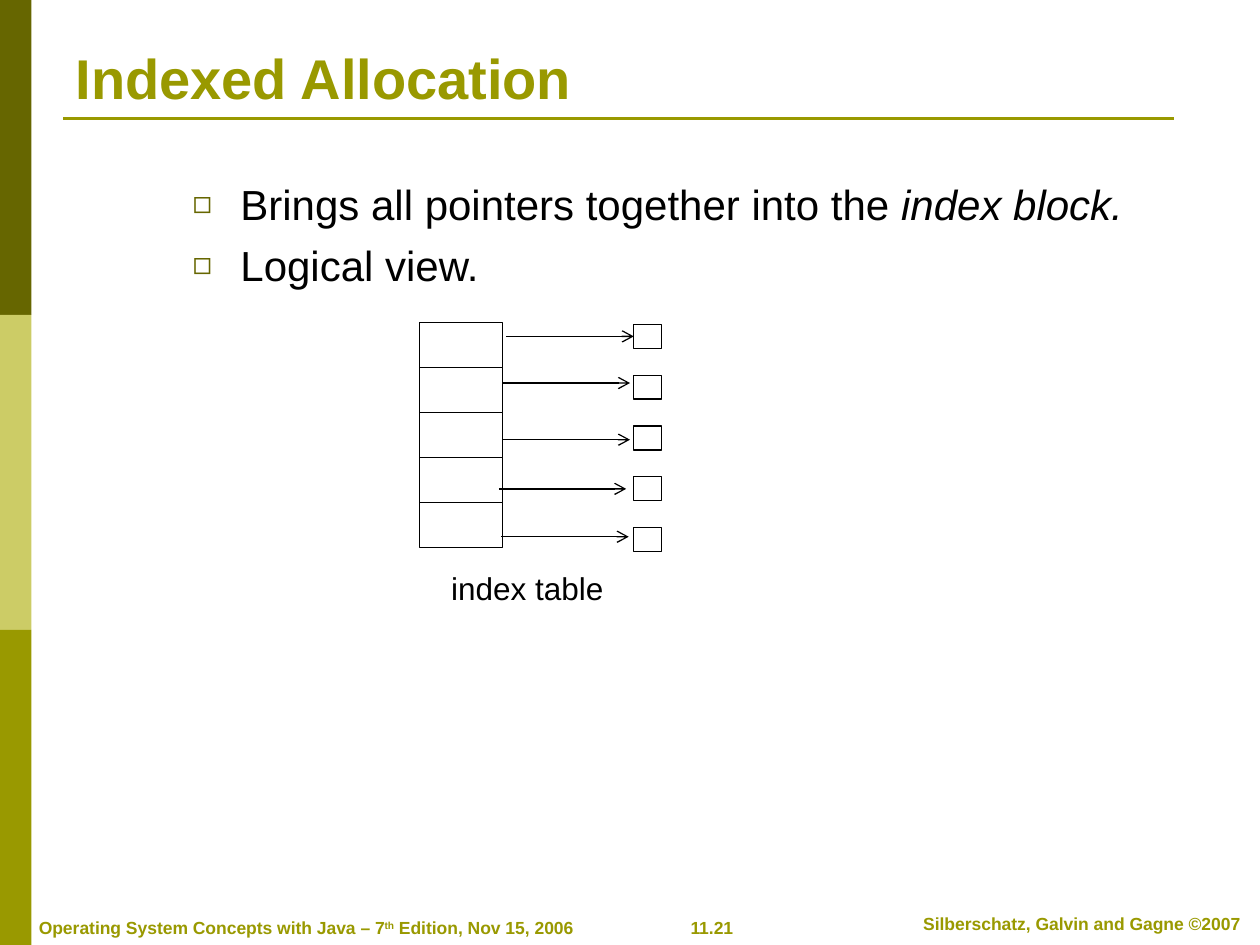
from lxml import etree
from pptx import Presentation
from pptx.dml.color import RGBColor
from pptx.enum.shapes import MSO_CONNECTOR, MSO_SHAPE
from pptx.enum.text import MSO_ANCHOR, MSO_AUTO_SIZE, PP_ALIGN
from pptx.oxml.ns import qn
from pptx.util import Inches, Pt

LINE, RECT = MSO_CONNECTOR.STRAIGHT, MSO_SHAPE.RECTANGLE
LEFT, MID = PP_ALIGN.LEFT, PP_ALIGN.CENTER
TOP, CORE, LOW = MSO_ANCHOR.TOP, MSO_ANCHOR.MIDDLE, MSO_ANCHOR.BOTTOM
FIXED = MSO_AUTO_SIZE.NONE
WIDE, HIGH = Inches(10), Inches(7.5)
COLS, ROWS = 100, 75
OLIVE, DARK, PALE, BLACK, WHITE = "999900", "666600", "CCCC66", "000000", "FFFFFF"


def tint(code):
    return RGBColor.from_string(code)


def place(box):
    x, y, w, h = box
    return (round(x * WIDE / COLS), round(y * HIGH / ROWS),
            round(w * WIDE / COLS), round(h * HIGH / ROWS))


def node(root, tag, **attrs):
    return etree.SubElement(root, qn(tag), attrs)


def add_rect(slide, box, fill, edge=None):
    shape = slide.shapes.add_shape(RECT, *place(box))
    shape.shadow.inherit = False
    shape.fill.solid()
    shape.fill.fore_color.rgb = tint(fill)
    if edge:
        shape.line.color.rgb = tint(edge)
        shape.line.width = Pt(0.75)
    else:
        shape.line.fill.background()


def add_line(slide, x, y, w, code, width, head=False):
    left, top, span, _ = place((x, y, w, 0))
    line = slide.shapes.add_connector(LINE, left, top, left + span, top)
    line.line.color.rgb = tint(code)
    line.line.width = Pt(width)
    if head:
        node(line.line._get_or_add_ln(), "a:tailEnd", type="arrow")
    node(line._element.spPr, "a:effectLst")


def set_frame(frame, anchor, wrap):
    frame.auto_size = FIXED
    frame.word_wrap = wrap
    frame.vertical_anchor = anchor


def add_run(para, text, size, code, bold=False, slant=False, raised=False):
    run = para.add_run()
    run.text = text
    font = run.font
    font.name, font.size = "Arial", Pt(size)
    font.bold, font.italic = bold, slant
    font.color.rgb = tint(code)
    if raised:
        run._r.get_or_add_rPr().set("baseline", "30000")


def add_label(slide, box, size, code, align, anchor=TOP, wrap=False, bold=False):
    frame = slide.shapes.add_textbox(*place(box)).text_frame
    set_frame(frame, anchor, wrap)
    para = frame.paragraphs[0]
    para.alignment = align

    def write(text, raised=False):
        add_run(para, text, size, code, bold, raised=raised)

    return write


def add_side(slide, box):
    x, y, w, h = box
    step = h / 3
    for i, code in enumerate((DARK, PALE, OLIVE)):
        add_rect(slide, (x, y + i * step, w, step), code)


def add_title(slide, box):
    x, y, w, h = box
    title = slide.shapes.title
    title.left, title.top, title.width, title.height = place(box)
    set_frame(title.text_frame, LOW, True)
    para = title.text_frame.paragraphs[0]
    para.alignment = LEFT
    add_run(para, "Indexed Allocation", 32, OLIVE, bold=True)
    add_line(slide, x, y + h + 0.1, w * 0.98, OLIVE, 1.5)


def add_bullet(para):
    props = para._p.get_or_add_pPr()
    indent = Inches(0.38)
    props.set("marL", str(indent))
    props.set("indent", str(-indent))
    node(node(props, "a:buClr"), "a:srgbClr", val=DARK)
    node(props, "a:buSzPct", val="75000")
    node(props, "a:buFont", typeface="Arial")
    node(props, "a:buChar", char="◻")


def add_points(slide, box):
    frame = slide.shapes.add_textbox(*place(box)).text_frame
    set_frame(frame, TOP, True)
    items = (
        (("Brings all pointers together into the ", False), ("index block.", True)),
        (("Logical view.", False),),
    )
    for i, parts in enumerate(items):
        para = frame.add_paragraph() if i else frame.paragraphs[0]
        add_bullet(para)
        if i:
            para.space_before = Pt(6)
        for text, slant in parts:
            add_run(para, text, 24, BLACK, slant=slant)


def add_index(slide, box):
    x, y, w, h = box
    cell, gap = h / 5, 4.03
    goal = x + w - 2.2
    tips = ((40.2, 26.7), (39.9, 30.4), (39.9, 34.9), (39.6, 38.8), (39.8, 42.6))
    for i in range(5):
        add_rect(slide, (x, y + i * cell, 6.6, cell), WHITE, BLACK)
    for i in range(5):
        add_rect(slide, (goal, y + 0.15 + i * gap, 2.2, 1.9), WHITE, BLACK)
    for left, top in tips:
        add_line(slide, left, top, 10.1, BLACK, 0.75, head=True)
    write = add_label(slide, (x + 1.5, y + h + 1.2, 14.1, 4), 18, BLACK, MID, CORE)
    write("index table")


def add_foot(slide, box):
    x, y, w, h = box
    write = add_label(slide, (x, y, 44.4, h), 10, OLIVE, LEFT, bold=True)
    write("Operating System Concepts with Java – 7")
    write("th", raised=True)
    write(" Edition, Nov 15, 2006")
    write = add_label(slide, (x + 49.1, y, 10.6, h), 10, OLIVE, MID, bold=True)
    write("11.21")
    write = add_label(slide, (x + w - 29.7, y - 0.3, 29.7, h), 10, OLIVE, MID,
                      wrap=True, bold=True)
    write("Silberschatz, Galvin and Gagne ©2007")


def main():
    deck = Presentation()
    deck.slide_width, deck.slide_height = WIDE, HIGH
    slide = deck.slides.add_slide(deck.slide_layouts[5])
    add_side(slide, (0, 0, 2.5, ROWS))
    add_title(slide, (5, 3, 90, 6.3))
    add_points(slide, (14.3, 13.7, 80.8, 10.3))
    add_index(slide, (33.3, 25.6, 19.2, 17.85))
    add_foot(slide, (2.1, 72.3, 98.6, 2.7))
    deck.save("out.pptx")


if __name__ == "__main__":
    main()
